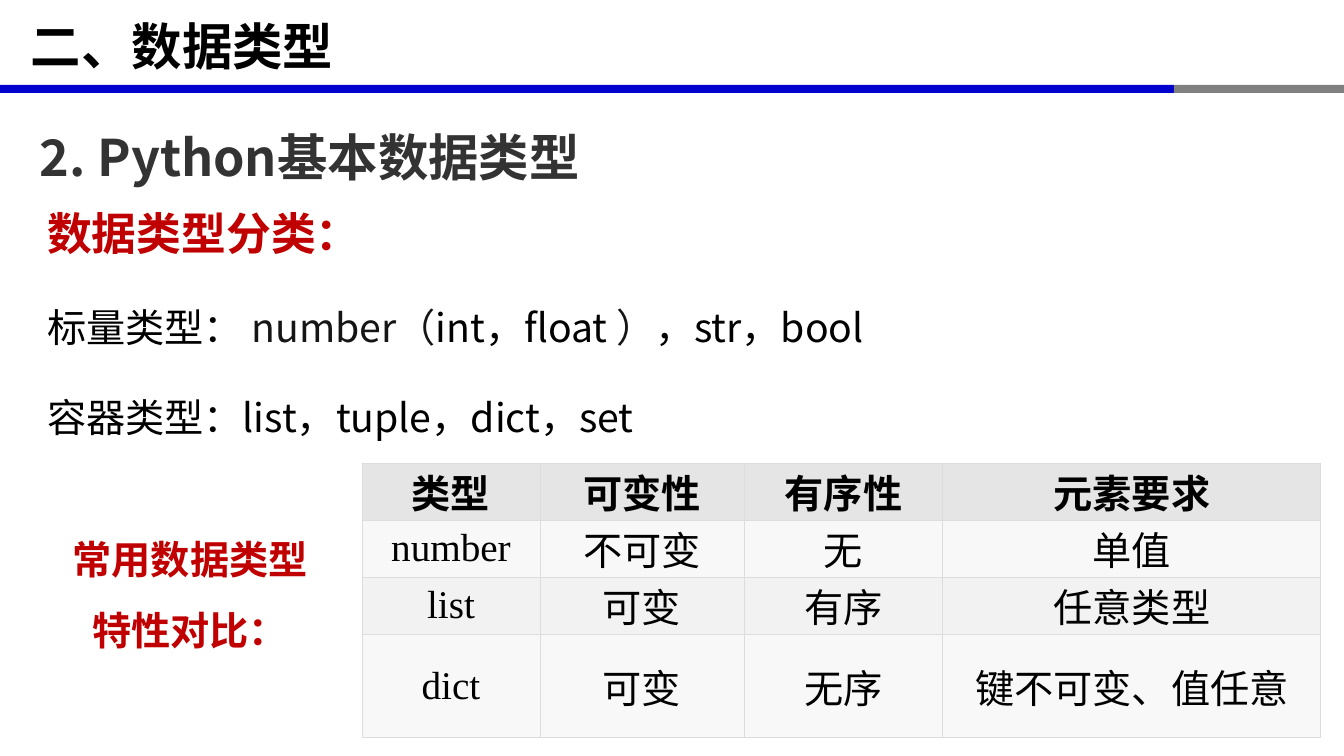
from lxml import etree
from pptx import Presentation
from pptx.dml.color import RGBColor
from pptx.enum.shapes import MSO_SHAPE
from pptx.enum.text import MSO_ANCHOR, MSO_AUTO_SIZE, PP_ALIGN
from pptx.oxml.ns import qn
from pptx.util import Pt

RECTANGLE = MSO_SHAPE.RECTANGLE
TOP, MIDDLE = MSO_ANCHOR.TOP, MSO_ANCHOR.MIDDLE
NO_AUTOFIT = MSO_AUTO_SIZE.NONE
LEFT, CENTER, JUSTIFY = PP_ALIGN.LEFT, PP_ALIGN.CENTER, PP_ALIGN.JUSTIFY
PX = 914400 / 100.8
SANS, SERIF = "Noto Sans CJK SC", "Times New Roman"
COLORS = {
    "black": "000000", "ink": "151515", "heading": "333333", "red": "C00000",
    "blue": "0000CC", "gray": "808080", "border": "DDDDDD",
    "header": "E5E5E5", "light": "F8F8F8", "band": "F2F2F2",
}


def px(*lengths):
    return [round(length * PX) for length in lengths]


def write(paragraph, runs, size, bold, align, spacing=None, latin=SANS):
    paragraph.alignment = align
    paragraph.line_spacing = spacing
    paragraph.space_before = Pt(0)
    properties = paragraph._p.get_or_add_pPr()
    properties.set("marL", "0")
    properties.set("indent", "0")
    before = properties.find(qn("a:spcBef"))
    before.remove(before[0])
    etree.SubElement(before, qn("a:spcPct"), val="50000" if align != LEFT else "0")
    etree.SubElement(properties, qn("a:buNone"))
    for text, color in runs:
        run = paragraph.add_run()
        run.text = text
        run.font.size = Pt(size)
        run.font.bold = bold
        run.font.name = latin
        run.font.color.rgb = RGBColor.from_string(COLORS[color])
        etree.SubElement(run._r.get_or_add_rPr(), qn("a:ea"), typeface=SANS)


prs = Presentation()
prs.slide_width, prs.slide_height = px(1344, 756)
slide = prs.slides.add_slide(prs.slide_layouts[1])

for left, width, color in [(0, 1174, "blue"), (1174, 170, "gray")]:
    rule = slide.shapes.add_shape(RECTANGLE, *px(left, 85, width, 8))
    rule.shadow.inherit = False
    rule.fill.solid()
    rule.fill.fore_color.rgb = RGBColor.from_string(COLORS[color])
    rule.line.fill.background()

title = slide.shapes.title
title.left, title.top, title.width, title.height = px(11, 1, 1150, 88)
title.text_frame.margin_left = px(20)[0]
title.text_frame.vertical_anchor = MIDDLE
title.text_frame.auto_size = NO_AUTOFIT
write(title.text_frame.paragraphs[0], [("二、数据类型", "black")], 36, True, LEFT)

labels = [
    ((30, 91, 849, 91), "2. Python基本数据类型", "heading", 36, JUSTIFY),
    ((46, 507, 288, 144), "常用数据类型特性对比：", "red", 28, CENTER),
]
for box, text, color, size, align in labels:
    label = slide.shapes.add_textbox(*px(*box)).text_frame
    label.word_wrap = True
    write(label.paragraphs[0], [(text, color)], size, True, align, 1.5)

categories = slide.placeholders[1]
categories.left, categories.top, categories.width, categories.height = px(37, 174, 1157, 273)
category_text = categories.text_frame
category_text.vertical_anchor = TOP
category_text.auto_size = NO_AUTOFIT
category_lines = [
    ([("数据类型分类：", "red")], 32, True),
    ([("标量类型：", "black"), (" number（", "ink"), ("int，float ", "black"),
      ("）", "ink"), ("，str，bool", "black")], 28, False),
    ([("容器类型：list，tuple，dict，set", "black")], 28, False),
]
for index, (runs, size, bold) in enumerate(category_lines):
    line = category_text.add_paragraph() if index else category_text.paragraphs[0]
    write(line, runs, size, bold, JUSTIFY, 1.5)

comparison = [
    ("类型", "可变性", "有序性", "元素要求"),
    ("number", "不可变", "无", "单值"),
    ("list", "可变", "有序", "任意类型"),
    ("dict", "可变", "无序", "键不可变、值任意"),
]
column_widths = px(178, 204, 199, 378)
row_heights = px(57, 57, 57, 104)
row_fills = ["header", "light", "band", "light"]
table = slide.shapes.add_table(4, 4, *px(362, 463, 959, 275)).table
for column, width in zip(table.columns, column_widths):
    column.width = width
for r, values in enumerate(comparison):
    table.rows[r].height = row_heights[r]
    for c, value in enumerate(values):
        cell = table.cell(r, c)
        cell.margin_left = cell.margin_right = cell.margin_top = cell.margin_bottom = 0
        cell.vertical_anchor = MIDDLE
        cell.fill.solid()
        cell.fill.fore_color.rgb = RGBColor.from_string(COLORS[row_fills[r]])
        write(cell.text_frame.paragraphs[0], [(value, "black")], 28, r == 0, CENTER, latin=SERIF)
        cell_properties = cell._tc.get_or_add_tcPr()
        for position, side in enumerate(["lnL", "lnR", "lnT", "lnB"]):
            border = etree.Element(qn(f"a:{side}"), w=str(Pt(0.75)))
            fill = etree.SubElement(border, qn("a:solidFill"))
            etree.SubElement(fill, qn("a:srgbClr"), val=COLORS["border"])
            cell_properties.insert(position, border)

prs.save("out.pptx")
